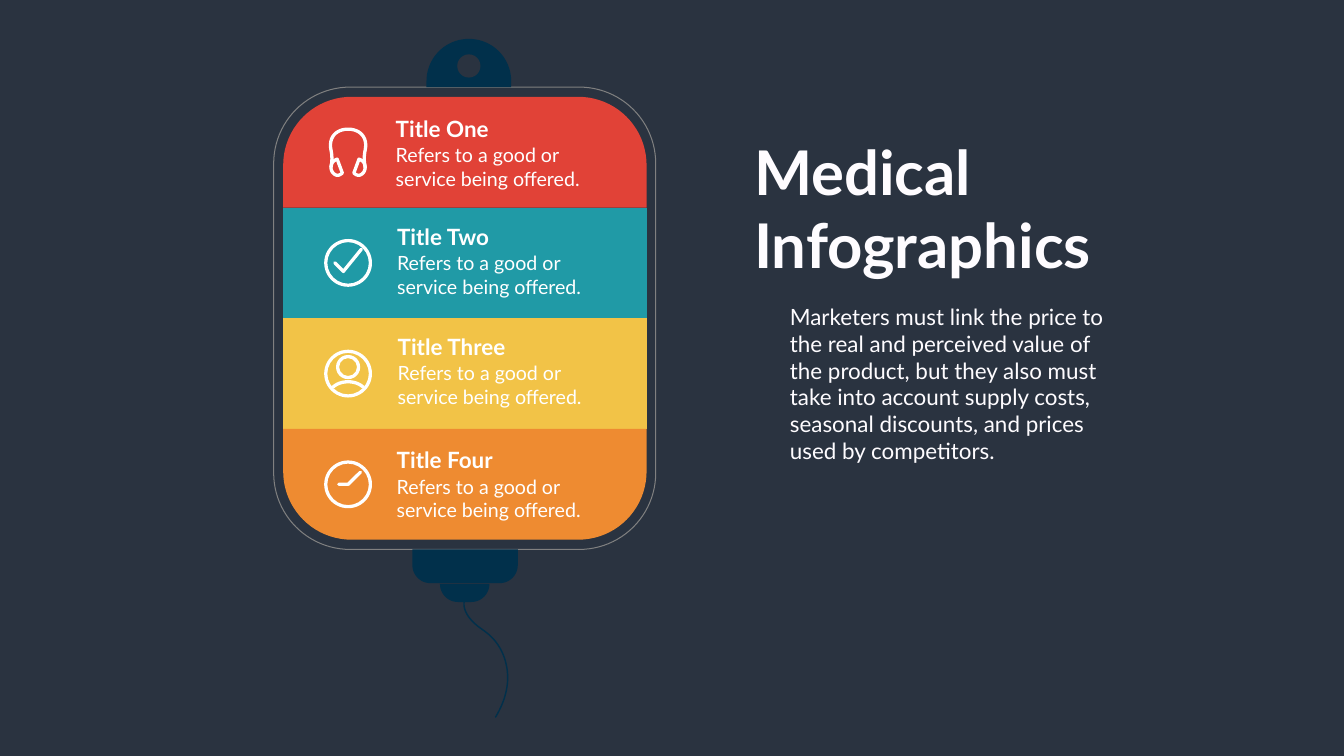
import math
from lxml import etree
from pptx import Presentation
from pptx.dml.color import RGBColor
from pptx.enum import shapes, text
from pptx.oxml import ns
from pptx.util import Cm, Pt

WHITE = RGBColor(0xFF, 0xFF, 0xFF)
SOFT_WHITE = RGBColor(0xFE, 0xFC, 0xFF)
SLATE = RGBColor(0x2A, 0x33, 0x40)
NAVY = RGBColor(0x01, 0x30, 0x4B)
GREY = RGBColor(0x80, 0x80, 0x80)
RED = RGBColor(0xE1, 0x42, 0x37)
TEAL = RGBColor(0x20, 0x9A, 0xA6)
YELLOW = RGBColor(0xF2, 0xC3, 0x47)
ORANGE = RGBColor(0xEE, 0x8B, 0x31)
FONT = "Lato"
STROKE = 4.7

# Content; all lengths are in centimetres
HEADING = "Medical\nInfographics"
SUMMARY = ("Marketers must link the price to the real and perceived value of the product, "
           "but they also must take into account supply costs, seasonal discounts, "
           "and prices used by competitors.")
DETAIL = "Refers to a good or\nservice being offered."
# title, colour, label left, label top, top radius, bottom radius
ROWS = [
    ("Title One", RED, 19.69, 5.66, 3.44, 0),
    ("Title Two", TEAL, 19.76, 11.12, 0, 0),
    ("Title Three", YELLOW, 19.79, 16.66, 0, 0),
    ("Title Four", ORANGE, 19.74, 22.38, 0, 3.44),
]
BAG_LEFT, BAG_TOP, BAG_W, BAND_H = 14.27, 4.88, 18.31, 5.58
ICON_X, RING_D = 17.54, 2.41
# left, top, width, height, top radius, bottom radius
FITTINGS = [
    (20.78, 27.69, 5.31, 1.7, 0, 0.91),
    (22.17, 29.43, 2.49, 0.91, 0, 0.91),
    (21.49, 1.96, 4.27, 2.43, 2.13, 0),
]
# Curves: start point, then two control points and an end point per piece
TUBE = [(23.39, 30.3), (23.32, 30.68), (23.55, 31.06), (23.83, 31.34),
        (24.1, 31.62), (24.46, 31.8), (24.74, 32.08),
        (25.27, 32.59), (25.55, 33.3), (25.58, 34.06),
        (25.6, 34.8), (25.35, 35.51), (24.97, 36.14)]
# Icon strokes, relative to the icon centre
HALF_BAND = [(-0.86, 0.75), (-0.8, 0.45), (-0.8, 0.2), (-0.86, -0.1),
             (-1, -0.75), (-0.6, -1.16), (0, -1.16)]
EAR_CUP = [(-0.29, 1.05), (-0.42, 1.16), (-0.52, 1.18), (-0.58, 1.16),
           (-0.78, 1.1), (-0.87, 0.9), (-0.86, 0.75),
           (-0.85, 0.5), (-0.7, 0.41), (-0.55, 0.35)]
SHOULDERS = [(-0.76, 0.68), (-0.38, 0.32), (0.38, 0.32), (0.76, 0.68)]
CHECK = [(-0.67, -0.01), (-0.24, 0.43), (0.67, -0.69)]
HANDS = [(-0.47, 0), (0, 0), (0.62, -0.61)]


def curve(pts, steps=12):
    """Points along a chain of cubic curves."""
    out = [pts[0]]
    for i in range(0, len(pts) - 1, 3):
        a, b, c, d = pts[i:i + 4]
        for n in range(1, steps + 1):
            t = n / steps
            k = ((1 - t) ** 3, 3 * t * (1 - t) ** 2, 3 * t * t * (1 - t), t ** 3)
            out.append(tuple(sum(f * v for f, v in zip(k, axis)) for axis in zip(a, b, c, d)))
    return out


def rounded(x, y, w, h, top, bottom, steps=20):
    """Box outline with its own radius for the top and bottom corners."""
    corners = [(x + top, y + top, top, 180), (x + w - top, y + top, top, 270),
               (x + w - bottom, y + h - bottom, bottom, 0), (x + bottom, y + h - bottom, bottom, 90)]
    out = []
    for cx, cy, r, start in corners:
        for n in range(steps + 1 if r else 1):
            a = math.radians(start + 90 * n / steps)
            out.append((cx + r * math.cos(a), cy + r * math.sin(a)))
    return out


def mirrored(pts):
    return [(-x, y) for x, y in pts]


def paint(sp, fill=None, line=None, width=1):
    sp.shadow.inherit = False
    if fill is None:
        sp.fill.background()
    else:
        sp.fill.solid()
        sp.fill.fore_color.rgb = fill
    if line is None:
        sp.line.fill.background()
    else:
        sp.line.color.rgb = line
        sp.line.width = Pt(width)


def outline(s, pts, closed=True, dx=0, dy=0, **look):
    pts = [(Cm(x + dx), Cm(y + dy)) for x, y in pts]
    fb = s.shapes.build_freeform(*pts[0], scale=1.0)
    fb.add_line_segments(pts[1:], close=closed)
    sp = fb.convert_to_shape()
    paint(sp, **look)
    if "line" in look:
        ln = sp.line._get_or_add_ln()
        ln.set("cap", "rnd")
        etree.SubElement(ln, ns.qn("a:round"))


def preset(s, kind, x, y, w, h, adj=None, **look):
    sp = s.shapes.add_shape(kind, Cm(x), Cm(y), Cm(w), Cm(h))
    if adj is not None:
        sp.adjustments[0] = adj
    paint(sp, **look)


def ring(s, cx, cy, d):
    preset(s, shapes.MSO_SHAPE.DONUT, cx - d / 2, cy - d / 2, d, d, 0.16 / d, fill=WHITE)


def write(sp, words, box, size, color, bold=False, wrap=False):
    sp.left, sp.top, sp.width, sp.height = (Cm(v) for v in box)
    tf = sp.text_frame
    tf.text = words
    tf.word_wrap = wrap
    tf.auto_size = text.MSO_AUTO_SIZE.SHAPE_TO_FIT_TEXT
    tf.vertical_anchor = text.MSO_ANCHOR.TOP
    for p in tf.paragraphs:
        p.alignment = text.PP_ALIGN.LEFT
        for r in p.runs:
            r.font.name, r.font.size, r.font.bold = FONT, Pt(size), bold
            r.font.color.rgb = color


def label(s, words, box, *style, **options):
    write(s.shapes.add_textbox(0, 0, 0, 0), words, box, *style, **options)


def main():
    prs = Presentation()
    prs.slide_width, prs.slide_height = Cm(67.72), Cm(38.1)
    s = prs.slides.add_slide(prs.slide_layouts[5])
    s.background.fill.solid()
    s.background.fill.fore_color.rgb = SLATE

    # Heading and summary
    write(s.shapes.title, HEADING, (37.74, 6.6, 17.93, 7.77), 88, SOFT_WHITE, bold=True)
    label(s, SUMMARY, (39.55, 15.14, 16.41, 8.46), 32, SOFT_WHITE, wrap=True)

    # Bag: coloured bands with their labels
    centres = []
    for i, (title, color, x, y, top, bottom) in enumerate(ROWS):
        band_top = BAG_TOP + i * BAND_H
        centres.append(band_top + BAND_H / 2)
        outline(s, rounded(BAG_LEFT, band_top, BAG_W, BAND_H, top, bottom), fill=color)
        label(s, DETAIL, (x, y + 1.42, 9.98, 2.64), 28, WHITE)
        label(s, title, (x, y, 6.05, 1.63), 32, WHITE, bold=True)

    # Bag rim, clamp, nozzle, hanger and tube
    preset(s, shapes.MSO_SHAPE.ROUNDED_RECTANGLE, 13.79, 4.39, 19.25, 23.3, 0.2,
           line=GREY, width=1.45)
    for fitting in FITTINGS:
        outline(s, rounded(*fitting), fill=NAVY)
    preset(s, shapes.MSO_SHAPE.OVAL, 23.04, 2.74, 1.17, 1.17, fill=SLATE)
    outline(s, curve(TUBE), closed=False, line=NAVY, width=2.04)

    # Icons
    head_y, check_y, person_y, clock_y = centres
    band = curve(HALF_BAND)
    cup = curve(EAR_CUP)
    strokes = [
        (band + mirrored(band)[-2::-1], False, head_y),
        (cup, True, head_y),
        (mirrored(cup), True, head_y),
        (CHECK, False, check_y),
        (curve(SHOULDERS), False, person_y),
        (HANDS, False, clock_y),
    ]
    for pts, closed, cy in strokes:
        outline(s, pts, closed, ICON_X, cy, line=WHITE, width=STROKE)
    for cy in (check_y, person_y, clock_y):
        ring(s, ICON_X, cy, RING_D)
    ring(s, ICON_X, person_y - 0.33, 1.22)

    prs.save("out.pptx")


if __name__ == "__main__":
    main()
